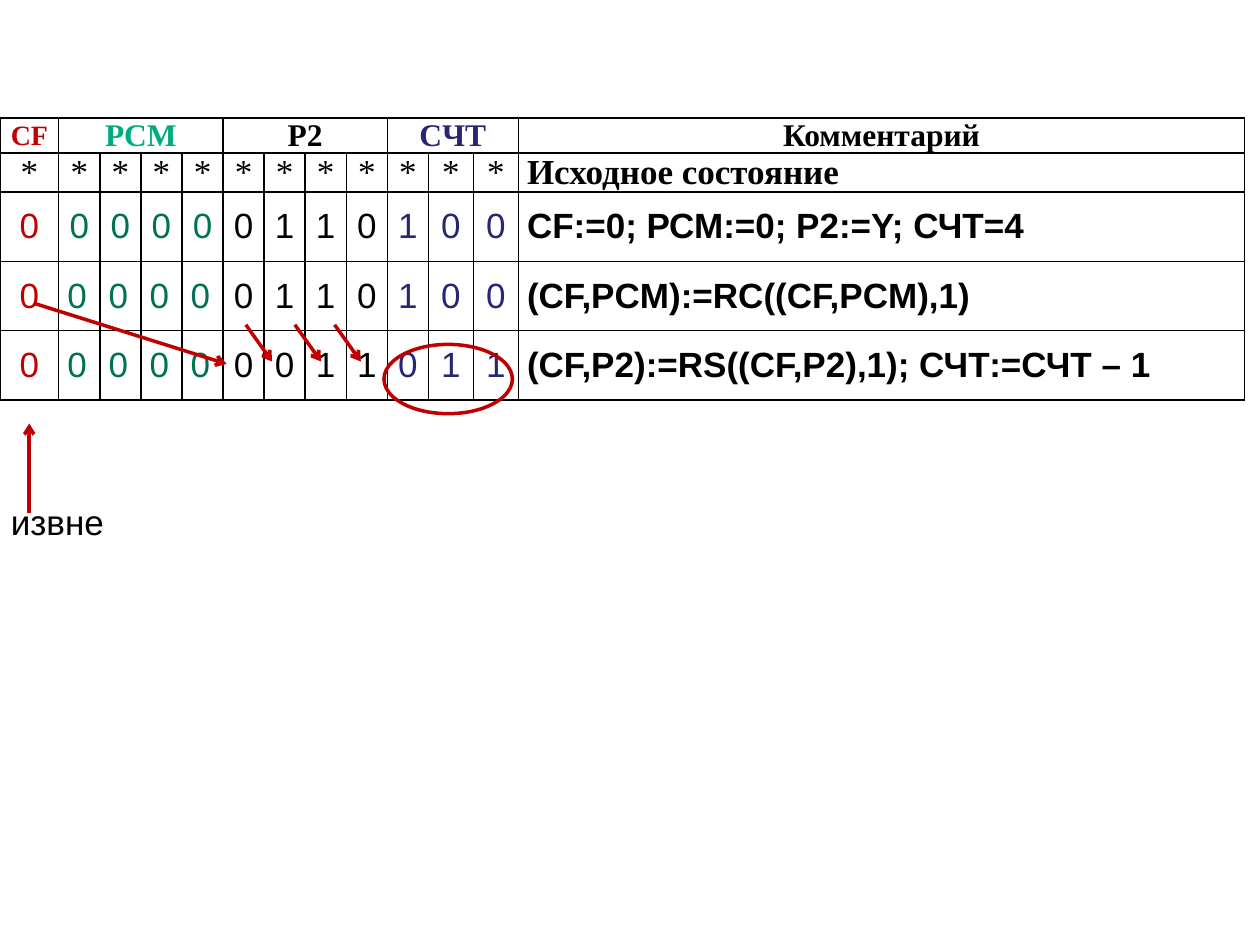
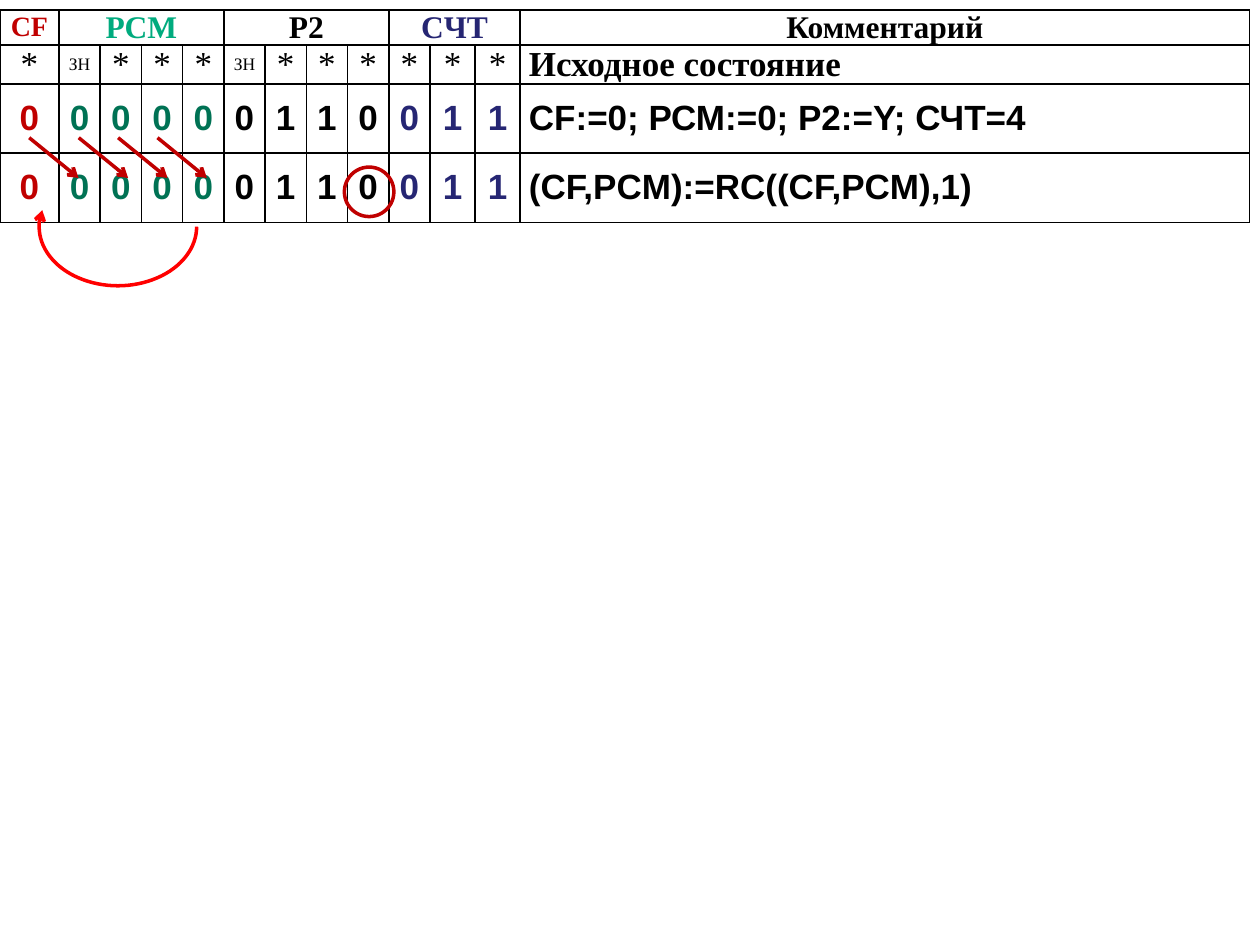
"""Build two slides tracing register states of a shift-and-add multiplication."""
from dataclasses import dataclass

from lxml import etree
from pptx import Presentation
from pptx.dml.color import RGBColor
from pptx.enum import shapes, text
from pptx.oxml.ns import qn
from pptx.util import Pt


@dataclass(frozen=True)
class Theme:
    red: str = "C00000"
    bright_red: str = "FF0000"
    mint: str = "00AB7E"
    green: str = "007254"
    navy: str = "262673"
    black: str = "000000"
    serif: str = "Times New Roman"
    sans: str = "Arial"
    tiny: int = 10
    flag: int = 16
    head: int = 18
    body: int = 20
    line: int = 2
    border: int = 1


T = Theme()
REGISTERS = [("CF", 1, T.red, T.red, T.flag), ("PCM", 4, T.mint, T.green, T.head),
             ("P2", 4, T.black, T.black, T.head), ("CЧТ", 3, T.navy, T.navy, T.head)]
DIGIT_COLORS = [digit for _, n, _, digit, _ in REGISTERS for _ in range(n)]
PCM_COLS = range(1, 5)
COL_WEIGHTS = [33.6] + [23.5] * 9 + [25.7] * 2 + [415.4]
HEAD_HEIGHT, STATE_HEIGHT = 20, 39.6
LEFT, CENTER = text.PP_ALIGN.LEFT, text.PP_ALIGN.CENTER


class Deck:
    """Hold the theme and the current slide."""

    def __init__(self, theme):
        self.t = theme
        self.prs = Presentation()
        self.prs.slide_width, self.prs.slide_height = Pt(720), Pt(540)

    def slide(self):
        self.s = self.prs.slides.add_slide(self.prs.slide_layouts[6])

    def run(self, p, words, size, color, font, bold=False):
        r = p.add_run()
        r.text = words
        r.font.size, r.font.name, r.font.bold = Pt(size), font, bold
        r.font.color.rgb = RGBColor.from_string(color)

    def stroke(self, sp, color, arrow=False):
        sp.line.color.rgb = RGBColor.from_string(color)
        sp.line.width = Pt(self.t.line)
        if arrow:
            ln = sp.element.spPr.find(qn("a:ln"))
            etree.SubElement(ln, qn("a:tailEnd"), type="arrow")

    def arrow(self, x1, y1, x2, y2):
        sp = self.s.shapes.add_connector(shapes.MSO_CONNECTOR.STRAIGHT,
                                         Pt(x1), Pt(y1), Pt(x2), Pt(y2))
        self.stroke(sp, self.t.red, arrow=True)
        etree.SubElement(sp.element.spPr, qn("a:effectLst"))

    def shift_arrows(self, starts, top, dx, dy):
        for x in starts:
            self.arrow(x, top, x + dx, top + dy)

    def outline(self, kind, x, y, w, h, color, arrow=False):
        sp = self.s.shapes.add_shape(kind, Pt(x), Pt(y), Pt(w), Pt(h))
        sp.shadow.inherit = False
        sp.fill.background()
        self.stroke(sp, color, arrow)
        return sp

    def label(self, words, x, y, w, h):
        tf = self.s.shapes.add_textbox(Pt(x), Pt(y), Pt(w), Pt(h)).text_frame
        tf.word_wrap = False
        tf.auto_size = text.MSO_AUTO_SIZE.SHAPE_TO_FIT_TEXT
        self.run(tf.paragraphs[0], words, self.t.body, self.t.black, self.t.sans)

    def frame_cell(self, c):
        c.margin_left = c.margin_right = Pt(5)
        c.margin_top = c.margin_bottom = 0
        c.vertical_anchor = text.MSO_ANCHOR.MIDDLE
        c.fill.background()
        tcPr = c._tc.get_or_add_tcPr()
        for i, side in enumerate(("lnL", "lnR", "lnT", "lnB")):
            ln = etree.Element(qn(f"a:{side}"), w=str(Pt(self.t.border)))
            fill = etree.SubElement(ln, qn("a:solidFill"))
            etree.SubElement(fill, qn("a:srgbClr"), val=self.t.black)
            tcPr.insert(i, ln)

    def write_cell(self, c, words, size, color, font, bold, align=CENTER):
        p = c.text_frame.paragraphs[0]
        p.alignment, p.space_after = align, Pt(3)
        self.run(p, words, size, color, font, bold)

    def trace(self, top, width, marks, states, bold_digits=False, left_rows=()):
        t = self.t
        heights = [HEAD_HEIGHT] * 2 + [STATE_HEIGHT] * len(states)
        tbl = self.s.shapes.add_table(len(heights), len(COL_WEIGHTS), 0, Pt(top),
                                      Pt(width), Pt(sum(heights))).table
        tbl.first_row = tbl.horz_banding = False
        for col, weight in zip(tbl.columns, COL_WEIGHTS):
            col.width = Pt(width * weight / sum(COL_WEIGHTS))
        for row, height in zip(tbl.rows, heights):
            row.height = Pt(height)
        for c in tbl.iter_cells():
            self.frame_cell(c)

        col = 0
        for name, n, color, _, size in REGISTERS:
            c = tbl.cell(0, col)
            if n > 1:
                c.merge(tbl.cell(0, col + n - 1))
            self.write_cell(c, name, size, color, t.serif, True)
            col += n
        self.write_cell(tbl.cell(0, col), "Комментарий", t.head, t.black, t.serif, True)

        for j, mark in enumerate(marks):
            size = t.body if mark == "*" else t.tiny
            self.write_cell(tbl.cell(1, j), mark, size, t.black, t.serif, False)
        self.write_cell(tbl.cell(1, col), "Исходное состояние", t.body, t.black,
                        t.serif, True, LEFT)

        for i, (bits, comment) in enumerate(states):
            for j, (bit, color) in enumerate(zip(bits.replace(" ", ""), DIGIT_COLORS)):
                align = LEFT if i in left_rows and j in PCM_COLS else CENTER
                self.write_cell(tbl.cell(i + 2, j), bit, t.body, color, t.sans,
                                bold_digits, align)
            self.write_cell(tbl.cell(i + 2, col), comment, t.body, t.black,
                            t.sans, True, LEFT)


def main():
    d = Deck(T)
    oval, arc = shapes.MSO_SHAPE.OVAL, shapes.MSO_SHAPE.ARC
    load = "CF:=0; РСМ:=0; Р2:=Y; СЧТ=4"
    shift = "(CF,PCM):=RС((CF,PCM),1)"

    d.slide()
    d.trace(67.5, 711.4, ["*"] * 12,
            [("0 0000 0110 100", load), ("0 0000 0110 100", shift),
             ("0 0000 0011 011", "(CF,P2):=RS((CF,P2),1); СЧТ:=СЧТ – 1")],
            left_rows=(1, 2))
    d.arrow(20, 173.5, 129.5, 208)
    d.shift_arrows((140.5, 168.5, 191.2), 185.6, 15, 21)
    d.arrow(16.7, 293, 16.7, 242)
    d.label("извне", -0.9, 282.2, 68.4, 31.5)
    d.outline(oval, 219.4, 196.8, 73.4, 39.6, T.red)

    d.slide()
    d.trace(5.7, 714.3, ["*", "ЗН", "*", "*", "*", "ЗН"] + ["*"] * 6,
            [("0 0000 0110 011", load), ("0 0000 0110 011", shift)],
            bold_digits=True)
    d.outline(oval, 196.8, 95.5, 28.3, 28.3, T.red)
    d.shift_arrows((16.7, 45, 67.5, 90), 78.7, 28.2, 23)
    sp = d.outline(arc, 22.4, 95.8, 90, 67.5, T.bright_red, arrow=True)
    sp.adjustments[0], sp.adjustments[1] = 216, 115.4

    d.prs.save("out.pptx")


if __name__ == "__main__":
    main()
